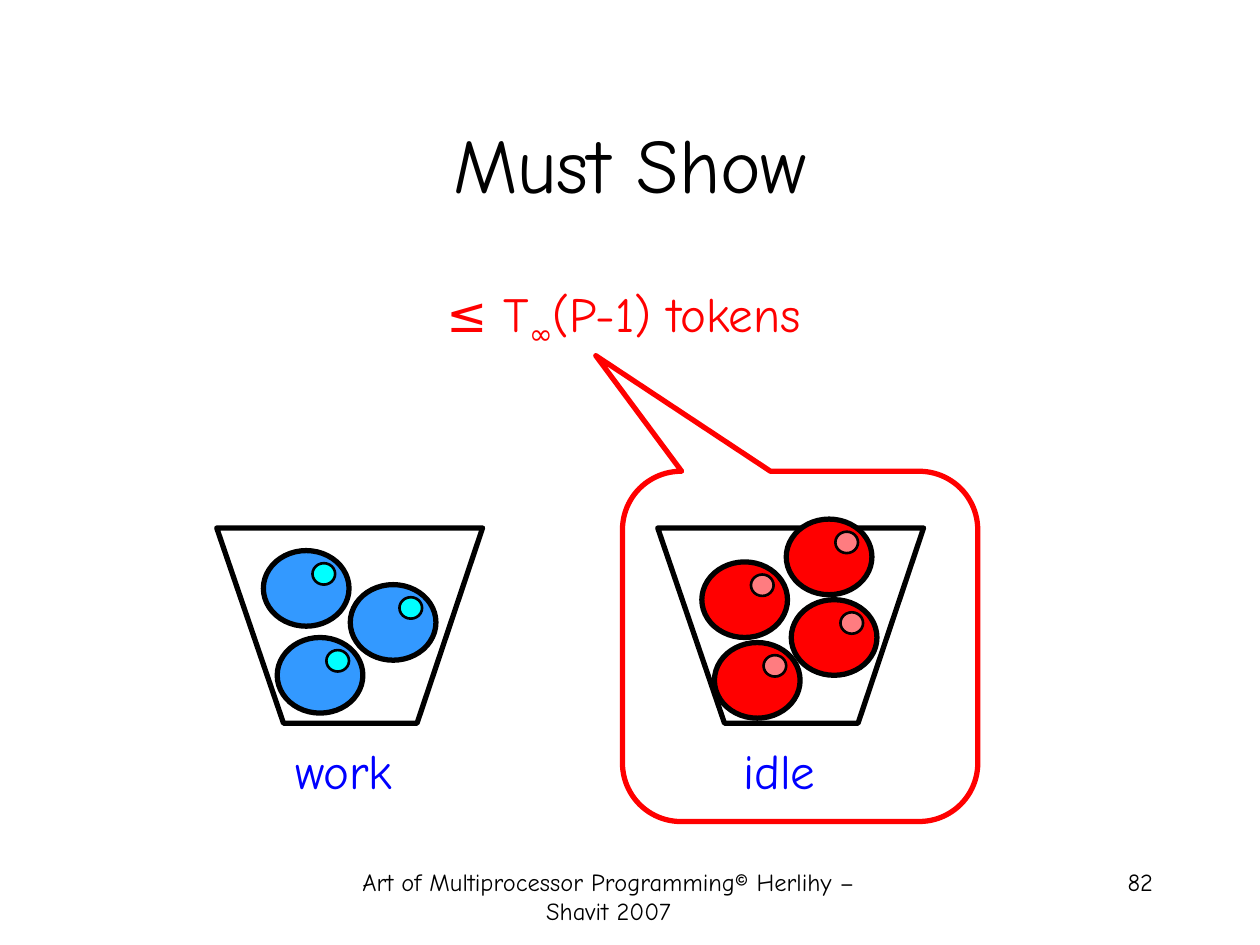
from pptx import Presentation
from pptx.dml.color import RGBColor
from pptx.enum.shapes import MSO_SHAPE as Shape
from pptx.enum.text import MSO_ANCHOR as Anchor, MSO_AUTO_SIZE as AutoSize, PP_ALIGN as Align
from pptx.util import Emu, Pt

PX = 9144  # 100 px to the inch
FONT = "Comic Neue"
COLORS = {
    "black": "000000", "red": "FF0000", "label": "0000FF",
    "work": "3399FF", "work_shine": "00FFFF",
    "idle": "FF0000", "idle_shine": "FF7C80",
}


def px(*lengths):
    return [Emu(length * PX) for length in lengths]


def color(name):
    return RGBColor.from_string(COLORS[name])


class SlideBuilder:
    def __init__(self, slide):
        self.slide = slide
        self.shapes = slide.shapes

    def style(self, shape, line, width, fill=None):
        shape.shadow.inherit = False
        if fill:
            shape.fill.solid()
            shape.fill.fore_color.rgb = color(fill)
        else:
            shape.fill.background()
        shape.line.color.rgb = color(line)
        shape.line.width = Pt(width)

    def format(self, paragraph, size, ink, align):
        paragraph.alignment = align
        paragraph.font.name = FONT
        paragraph.font.size = Pt(size)
        paragraph.font.color.rgb = color(ink)

    def title(self, text, box):
        title = self.shapes.title
        title.left, title.top, title.width, title.height = px(*box)
        title.text_frame.text = text
        title.text_frame.vertical_anchor = Anchor.MIDDLE
        self.format(title.text_frame.paragraphs[0], 44, "black", Align.CENTER)

    def text(self, parts, box, size, ink, align=Align.CENTER, wrap=False):
        """Each part is a (text, baseline) pair; baseline is in percent."""
        frame = self.shapes.add_textbox(*px(*box)).text_frame
        frame.word_wrap = wrap
        frame.auto_size = AutoSize.NONE if wrap else AutoSize.SHAPE_TO_FIT_TEXT
        paragraph = frame.paragraphs[0]
        for text, baseline in parts:
            run = paragraph.add_run()
            run.text = text
            if baseline:
                run._r.get_or_add_rPr().set("baseline", str(baseline * 1000))
        self.format(paragraph, size, ink, align)

    def bucket(self, left, top):
        outline = [(0, 0), (53, 155), (159, 155), (211, 0)]
        points = [px(left + x, top + y) for x, y in outline]
        builder = self.shapes.build_freeform(*points[0], scale=1.0)
        builder.add_line_segments(points[1:], close=True)
        self.style(builder.convert_to_shape(), "black", 3)

    def token(self, left, top, kind):
        group = self.shapes.add_group_shape()
        ball = group.shapes.add_shape(Shape.OVAL, *px(left, top, 68, 60))
        self.style(ball, "black", 3, kind)
        shine = group.shapes.add_shape(Shape.OVAL, *px(left + 39, top + 10, 18, 17))
        self.style(shine, "black", 1.5, kind + "_shine")

    def callout(self, box, adjustments):
        callout = self.shapes.add_shape(Shape.ROUNDED_RECTANGULAR_CALLOUT, *px(*box))
        for index, value in enumerate(adjustments):
            callout.adjustments[index] = value
        self.style(callout, "red", 3)


def main():
    deck = Presentation()
    deck.slide_width, deck.slide_height = px(1000, 750)
    page = SlideBuilder(deck.slides.add_slide(deck.slide_layouts[5]))

    # Footer and title
    page.text([("Art of Multiprocessor Programming© Herlihy –Shavit 2007", 0)],
              (254, 683, 458, 50), 14, "black", wrap=True)
    page.text([("82", 0)], (717, 683, 208, 50), 14, "black", Align.RIGHT, wrap=True)
    page.title("Must Show", (75, 67, 850, 125))

    # Buckets with their labels and tokens
    buckets = [
        ("work", 172, (224, 583, 98, 57), [(278, 464), (220, 506), (209, 437)]),
        ("idle", 522, (580, 583, 77, 57),
         [(567, 510), (628, 476), (557, 446), (624, 412)]),
    ]
    for kind, left, label_box, tokens in buckets:
        page.bucket(left, 419)
        page.text([(kind, 0)], label_box, 28, "label")
        for x, y in tokens:
            page.token(x, y, kind)

    # Bound on the idle tokens
    page.callout((494, 374, 282, 278), (-0.575, -0.83, 0.167))
    page.text([("≤ T", 0), ("∞", -25), ("(P-1) tokens", 0)],
              (338, 220, 314, 63), 28, "red")

    deck.save("out.pptx")


if __name__ == "__main__":
    main()
